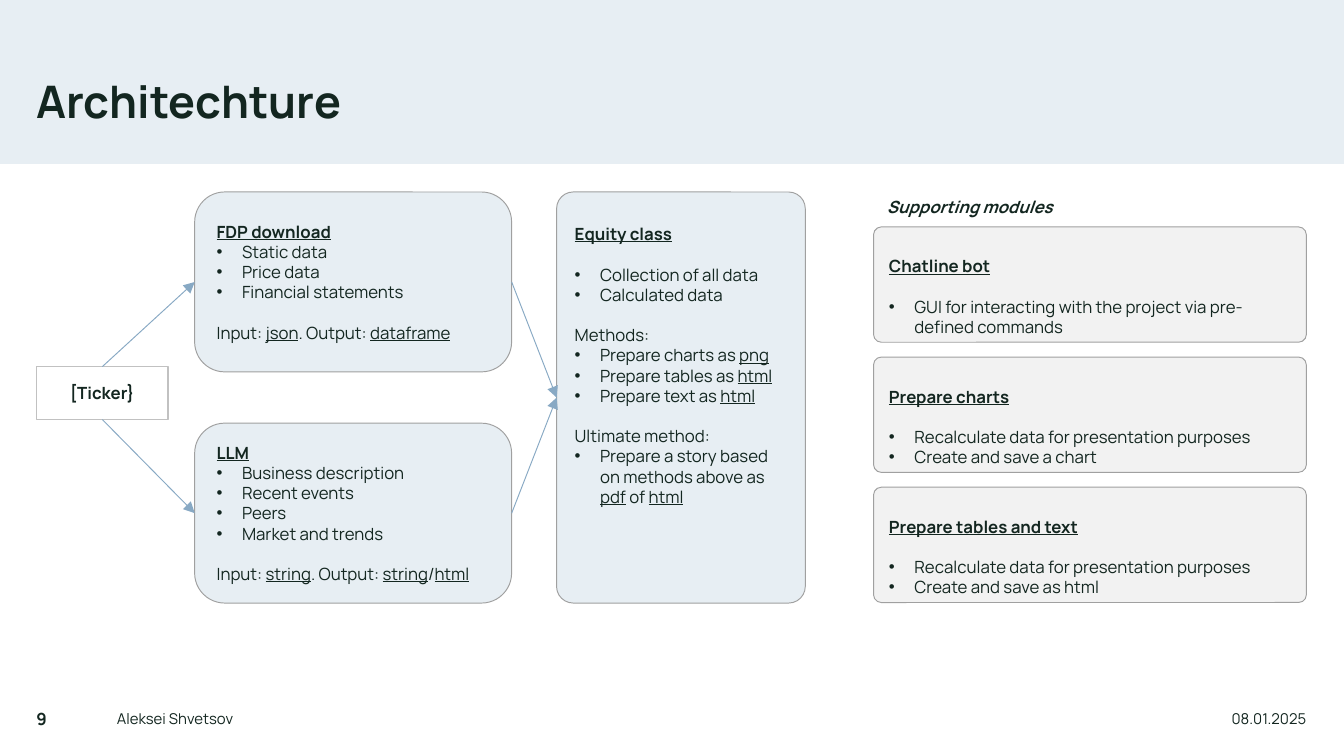
from lxml.etree import SubElement
from pptx import Presentation
from pptx.dml.color import RGBColor
from pptx.enum.shapes import MSO_CONNECTOR, MSO_SHAPE
from pptx.enum.text import MSO_ANCHOR, PP_ALIGN
from pptx.oxml.ns import qn
from pptx.util import Cm, Pt

INK, PALE, GREY, EDGE, ARROW = "132620", "E7EEF3", "F2F2F2", "A0A0A0", "88A9C4"
LINE_HEIGHT = Pt(10.8)
INDENT = Cm(0.48)
TOP, BOTTOM = 3.63, 11.4
LEFT, RIGHT = 0.69, 24.69


def color(value):
    return RGBColor.from_string(value)


def write(box, lines, anchor=MSO_ANCHOR.MIDDLE, align=PP_ALIGN.LEFT, **font):
    """Fill box with lines: "•" starts a bullet, "" leaves a gap, _words_ are underlined.

    The font options apply to the first line only.
    """
    frame = box.text_frame
    frame.word_wrap = True
    frame.vertical_anchor = anchor
    para, gap = None, False
    for line in lines:
        if not line:
            gap = True
            continue
        first = para is None
        para = frame.paragraphs[0] if first else frame.add_paragraph()
        para.alignment = align
        if gap:
            para.space_before = LINE_HEIGHT
            gap = False
        if line.startswith("•"):
            properties = para._p.get_or_add_pPr()
            properties.set("marL", str(INDENT))
            properties.set("indent", str(-INDENT))
            SubElement(properties, qn("a:buFont")).set("typeface", "Arial")
            SubElement(properties, qn("a:buChar")).set("char", "•")
            line = line[1:]
        for number, words in enumerate(line.split("_")):
            if not words:
                continue
            span = para.add_run()
            span.text = words
            span.font.color.rgb = color(INK)
            style = {"name": "Manrope", "size": Pt(9), "bold": False,
                     "underline": number % 2 == 1}
            if first:
                style.update(font)
            for name, value in style.items():
                setattr(span.font, name, value)


deck = Presentation()
deck.slide_width, deck.slide_height = Cm(25.4), Cm(14.29)
page = deck.slides.add_slide(deck.slide_layouts[6])

# Header band
band = page.shapes.add_shape(MSO_SHAPE.RECTANGLE, 0, 0, deck.slide_width, Cm(3.1))
band.shadow.inherit = False
band.fill.solid()
band.fill.fore_color.rgb = color(PALE)
band.line.fill.background()

# Title, footer and label: place, side inset, text, alignment, font
labels = [
    ((LEFT, 1.37, 24, 1.19), 0, "Architechture", PP_ALIGN.LEFT, {"size": Pt(24), "bold": True}),
    ((LEFT, 13.23, 1.02, 0.71), 0, "9", PP_ALIGN.LEFT, {"bold": True}),
    ((1.96, 13.23, 8.58, 0.71), 0.25, "Aleksei Shvetsov", PP_ALIGN.LEFT, {"size": Pt(8)}),
    ((RIGHT - 2.49, 13.23, 2.49, 0.71), 0, "08.01.2025", PP_ALIGN.RIGHT, {"size": Pt(8)}),
    ((16.51, TOP, 4.5, 0.56), 0.25, "Supporting modules", PP_ALIGN.LEFT,
     {"bold": True, "italic": True}),
]
for place, inset, text, align, font in labels:
    box = page.shapes.add_textbox(*map(Cm, place))
    frame = box.text_frame
    frame.margin_left = frame.margin_right = Cm(inset)
    frame.margin_top = frame.margin_bottom = 0
    write(box, [text], align=align, **font)
    if font.get("size") == Pt(24):
        frame.paragraphs[0].line_spacing = 0.9

# Ticker
ticker = page.shapes.add_shape(MSO_SHAPE.RECTANGLE, Cm(LEFT), Cm(6.93), Cm(2.49), Cm(1))
ticker.shadow.inherit = False
ticker.fill.background()
ticker.line.color.rgb = color("C1C1C1")
ticker.line.width = Pt(0.75)
write(ticker, ["[Ticker}"], align=PP_ALIGN.CENTER, bold=True)

# Rounded boxes: place, fill, lines of text
source_height, module_height = 3.4, 2.18
module_tops = [4.29 + 2.46 * row for row in range(3)]
recalculate = "•Recalculate data for presentation purposes"
cards = [
    ((3.68, TOP, 5.99, source_height), PALE, [
        "FDP download", "•Static data", "•Price data", "•Financial statements", "",
        "Input: _json_. Output: _dataframe_"]),
    ((3.68, BOTTOM - source_height, 5.99, source_height), PALE, [
        "LLM", "•Business description", "•Recent events", "•Peers", "•Market and trends", "",
        "Input: _string_. Output: _string_/_html_"]),
    ((10.52, TOP, 4.7, BOTTOM - TOP), PALE, [
        "Equity class", "", "•Collection of all data", "•Calculated data", "",
        "Methods:", "•Prepare charts as _png_", "•Prepare tables as _html_",
        "•Prepare text as _html_", "",
        "Ultimate method:", "•Prepare a story based on methods above as _pdf_ of _html_"]),
    ((16.51, module_tops[0], 8.18, module_height), GREY, [
        "Chatline bot", "",
        "•GUI for interacting with the project via pre-defined commands"]),
    ((16.51, module_tops[1], 8.18, module_height), GREY, [
        "Prepare charts", "", recalculate, "•Create and save a chart"]),
    ((16.51, module_tops[2], 8.18, module_height), GREY, [
        "Prepare tables and text", "", recalculate, "•Create and save as html"]),
]
boxes = []
for number, (place, fill, lines) in enumerate(cards):
    box = page.shapes.add_shape(MSO_SHAPE.ROUNDED_RECTANGLE, *map(Cm, place))
    box.shadow.inherit = False
    box.fill.solid()
    box.fill.fore_color.rgb = color(fill)
    box.line.color.rgb = color(EDGE)
    box.line.width = Pt(0.5)
    anchor = MSO_ANCHOR.MIDDLE
    if number >= 2:
        box.adjustments[0] = 0.067
        box.text_frame.margin_top = Cm(0.51)
        anchor = MSO_ANCHOR.TOP
    write(box, lines, anchor, bold=True, underline=True)
    boxes.append(box)

# Arrows between connection sites
top_site, left_site, bottom_site, right_site = range(4)
download, llm, equity = boxes[:3]
arrows = [
    (ticker, top_site, download),
    (ticker, bottom_site, llm),
    (download, right_site, equity),
    (llm, right_site, equity),
]
for start, site, end in arrows:
    arrow = page.shapes.add_connector(MSO_CONNECTOR.STRAIGHT, 0, 0, 0, 0)
    arrow.begin_connect(start, site)
    arrow.end_connect(end, left_site)
    arrow.line.color.rgb = color(ARROW)
    arrow.line.width = Pt(0.5)
    SubElement(arrow.line._get_or_add_ln(), qn("a:tailEnd")).set("type", "triangle")
    SubElement(arrow._element.spPr, qn("a:effectLst"))

deck.save("out.pptx")
